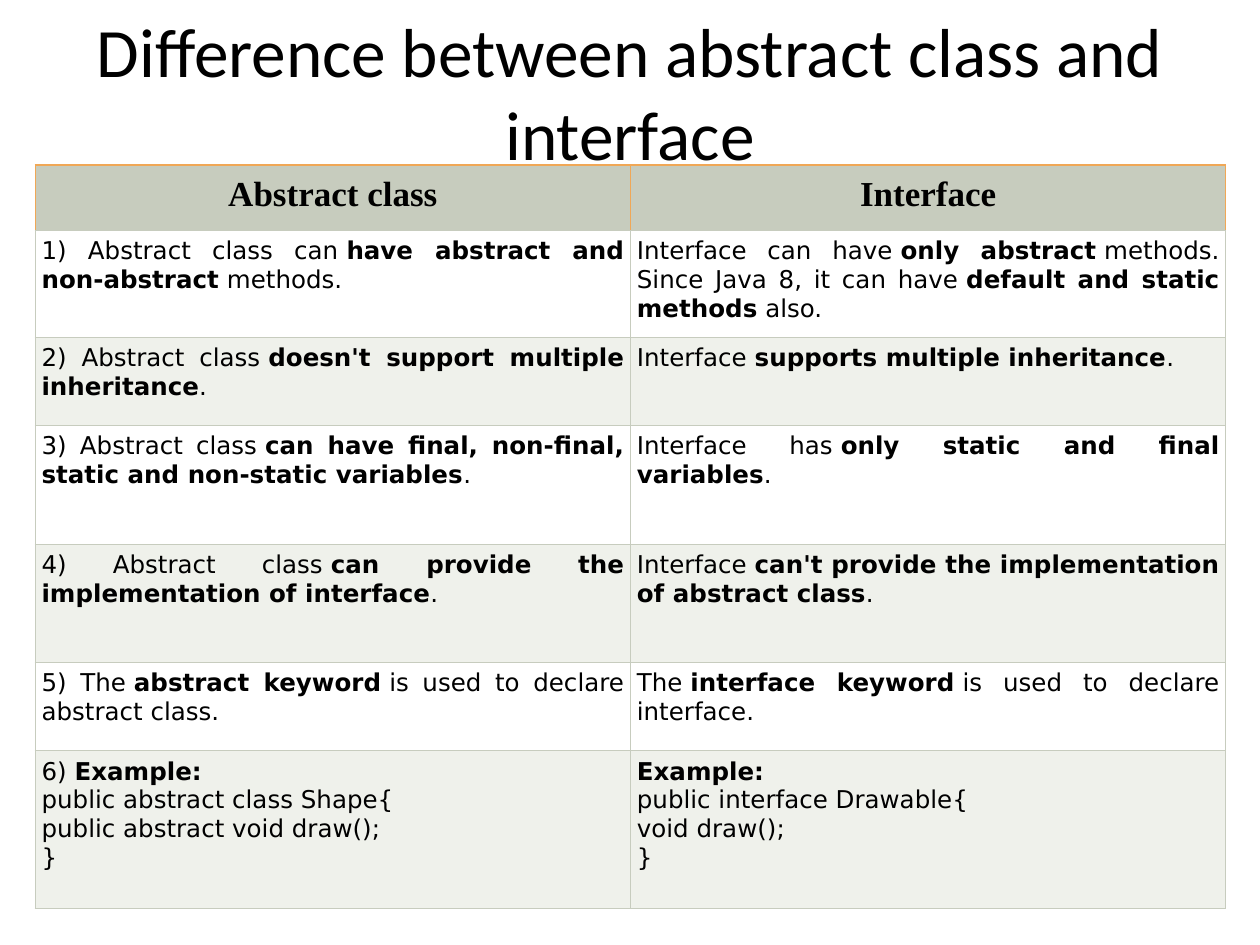
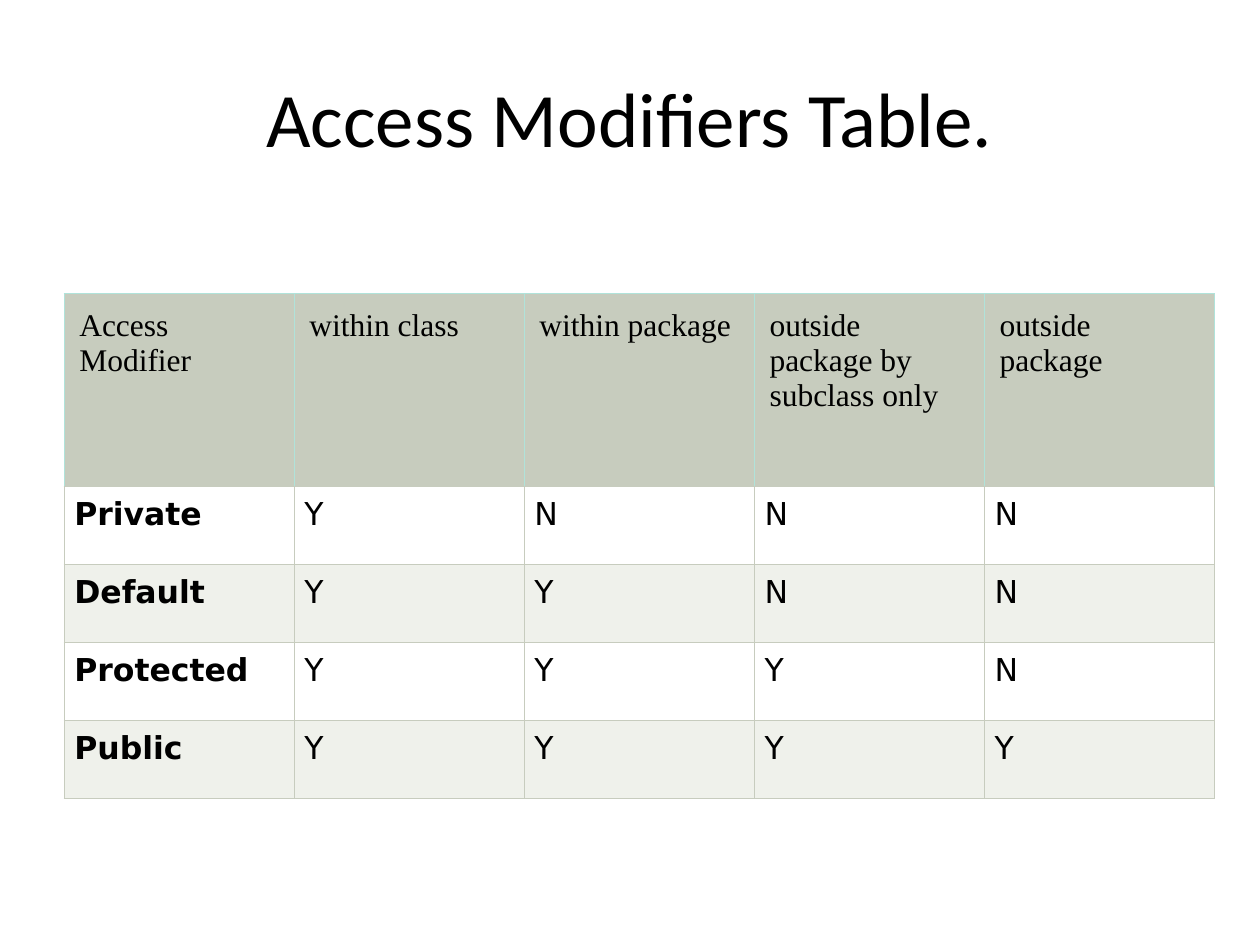
from lxml.etree import SubElement
from pptx import Presentation
from pptx.dml.color import RGBColor
from pptx.enum.text import MSO_ANCHOR, MSO_AUTO_SIZE, PP_ALIGN as Align
from pptx.oxml.ns import qn
from pptx.util import Inches, Pt

BLACK, WHITE = "000000", "FFFFFF"
SAGE, PALE_SAGE = "C7CCBE", "EFF1EB"
ORANGE, AQUA = "F0A756", "B0E3DA"
TITLE_FONT, HEADER_FONT, BODY_FONT = "Calibri", "Times New Roman", "DejaVu Sans"
BORDER_WIDTH = 0.75
HARD_SPACE = chr(160)

CLASS_COMPARISON = [
    ("Abstract class", "Interface"),
    ("1) Abstract class can **have abstract and non-abstract** methods.",
     "Interface can have **only abstract** methods. Since Java 8, it can have "
     "**default and static methods** also."),
    ("2) Abstract class **doesn't support multiple inheritance**.",
     "Interface **supports multiple inheritance**."),
    ("3) Abstract class **can have final, non-final, static and non-static variables**.",
     "Interface has **only static and final variables**."),
    ("4) Abstract class **can provide the implementation of interface**.",
     "Interface **can't provide the implementation of abstract class**."),
    ("5) The **abstract keyword** is used to declare abstract class.",
     "The **interface keyword** is used to declare interface."),
    ("6) **Example:**\npublic abstract class Shape{\npublic abstract void draw();\n}",
     "**Example:**\npublic interface Drawable{\nvoid draw();\n}"),
]

ACCESS_MODIFIERS = [
    ("Access Modifier", "within class", "within package",
     "outside package by subclass only", "outside package"),
    ("**Private**", "Y", "N", "N", "N"),
    ("**Default**", "Y", "Y", "N", "N"),
    ("**Protected**", "Y", "Y", "Y", "N"),
    ("**Public**", "Y", "Y", "Y", "Y"),
]


def color(hex_value):
    return RGBColor.from_string(hex_value)


def write_text(text_frame, text, font, size, align=Align.LEFT, bold=False):
    """Write one paragraph a line; **marks** make bold, joined by hard spaces."""
    text = text.replace(" **", HARD_SPACE + "**").replace("** ", "**" + HARD_SPACE)
    for index, line in enumerate(text.split("\n")):
        paragraph = text_frame.add_paragraph() if index else text_frame.paragraphs[0]
        paragraph.alignment = align
        for position, part in enumerate(line.split("**")):
            if not part:
                continue
            run = paragraph.add_run()
            run.text = part
            run.font.name = font
            run.font.size = Pt(size)
            run.font.bold = bold or position % 2 == 1
            run.font.color.rgb = color(BLACK)


def add_title(slide, text, height, size):
    title = slide.shapes.add_textbox(Inches(0.5), Inches(0.3), Inches(9), Inches(height))
    text_frame = title.text_frame
    text_frame.word_wrap = True
    text_frame.auto_size = MSO_AUTO_SIZE.NONE
    text_frame.vertical_anchor = MSO_ANCHOR.MIDDLE
    write_text(text_frame, text, TITLE_FONT, size, align=Align.CENTER)


def set_borders(cell, side_color, bottom_color):
    """Draw the left, right and top borders in one colour, the bottom in another."""
    properties = cell._tc.get_or_add_tcPr()
    edges = {"a:lnL": side_color, "a:lnR": side_color,
             "a:lnT": side_color, "a:lnB": bottom_color}
    for tag, edge_color in edges.items():
        line = SubElement(properties, qn(tag), w=str(Pt(BORDER_WIDTH)))
        fill = SubElement(line, qn("a:solidFill"))
        SubElement(fill, qn("a:srgbClr"), val=edge_color)


def format_cell(cell, text, fill, border, inset, **text_format):
    set_borders(cell, border, SAGE)
    cell.fill.solid()
    cell.fill.fore_color.rgb = color(fill)
    cell.margin_left = cell.margin_right = Inches(inset)
    cell.margin_top = cell.margin_bottom = Inches(inset)
    write_text(cell.text_frame, text, **text_format)


def add_banded_table(slide, rows, left, top, width, row_heights, header, body):
    """Add a table; header and body hold the cell format of each part."""
    column_count = len(rows[0])
    frame = slide.shapes.add_table(len(rows), column_count, Inches(left), Inches(top),
                                   Inches(width), Inches(sum(row_heights)))
    table = frame.table
    table.first_row = table.horz_banding = False
    for column in table.columns:
        column.width = Inches(width / column_count)
    for row_index, (texts, height) in enumerate(zip(rows, row_heights)):
        table.rows[row_index].height = Inches(height)
        band = WHITE if row_index % 2 else PALE_SAGE
        for column_index, text in enumerate(texts):
            cell = table.cell(row_index, column_index)
            if row_index == 0:
                format_cell(cell, text, fill=SAGE, font=HEADER_FONT, **header)
            else:
                align = Align.LEFT if "\n" in text else Align.JUSTIFY
                format_cell(cell, text, fill=band, border=SAGE, font=BODY_FONT,
                            align=align, **body)


def main():
    presentation = Presentation()
    presentation.slide_width, presentation.slide_height = Inches(10), Inches(7.5)
    blank = presentation.slide_layouts[6]

    comparison = presentation.slides.add_slide(blank)
    add_title(comparison, "Difference between abstract class and interface", 0.85, 39.6)
    add_banded_table(
        comparison, CLASS_COMPARISON, left=0.28, top=1.31, width=9.45,
        row_heights=[0.52, 0.85, 0.7, 0.94, 0.94, 0.7, 1.25],
        header=dict(border=ORANGE, inset=0.08, size=20, bold=True, align=Align.CENTER),
        body=dict(inset=0.05, size=14))

    modifiers = presentation.slides.add_slide(blank)
    add_title(modifiers, "Access Modifiers Table.", 1.25, 44)
    add_banded_table(
        modifiers, ACCESS_MODIFIERS, left=0.51, top=2.33, width=9.13,
        row_heights=[1.53] + [0.62] * 4,
        header=dict(border=AQUA, inset=0.12, size=18),
        body=dict(inset=0.08, size=18))

    presentation.save("out.pptx")


if __name__ == "__main__":
    main()
